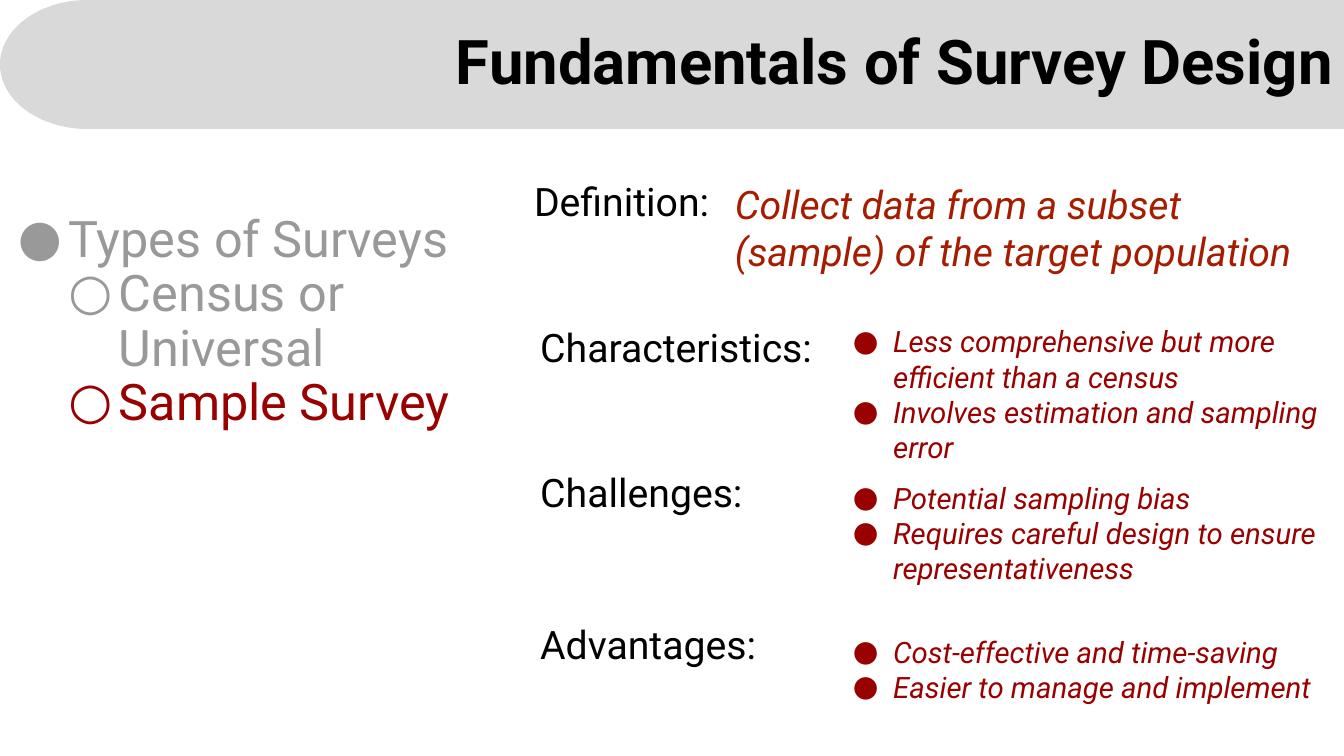
from lxml.etree import SubElement
from pptx import Presentation
from pptx.dml.color import RGBColor
from pptx.enum.shapes import MSO_SHAPE
from pptx.enum.text import MSO_ANCHOR, MSO_AUTO_SIZE, PP_ALIGN
from pptx.oxml.ns import qn
from pptx.util import Inches, Pt

COLORS = {
    "banner": "D9D9D9",
    "text": "000000",
    "muted": "999999",
    "accent": "990000",
    "definition": "A61C00",
}


class SurveySlide:
    font_name = "Roboto"
    grid_size = 100

    def __init__(self, presentation):
        self.column = presentation.slide_width / self.grid_size
        self.row = presentation.slide_height / self.grid_size
        self.slide = presentation.slides.add_slide(presentation.slide_layouts[5])

    def place(self, left, top, width, height):
        return (
            round(left * self.column),
            round(top * self.row),
            round(width * self.column),
            round(height * self.row),
        )

    def banner(self, parts):
        group = self.slide.shapes.add_group_shape()
        for kind, cells in parts:
            shape = group.shapes.add_shape(kind, *self.place(*cells))
            shape.shadow.inherit = False
            shape.fill.solid()
            shape.fill.fore_color.rgb = RGBColor.from_string(COLORS["banner"])
            shape.line.fill.background()

    def prepare_frame(self, shape, anchor=MSO_ANCHOR.TOP):
        frame = shape.text_frame
        frame.word_wrap = True
        frame.auto_size = MSO_AUTO_SIZE.NONE
        frame.vertical_anchor = anchor
        frame.margin_left = frame.margin_right = Inches(0.1)
        frame.margin_top = frame.margin_bottom = Inches(0.1)
        return frame

    def format_runs(self, paragraph, size, color, bold=False, italic=False):
        for run in paragraph.runs:
            run.font.name = self.font_name
            run.font.size = Pt(size)
            run.font.bold = bold
            run.font.italic = italic
            run.font.color.rgb = RGBColor.from_string(COLORS[color])

    def title(self, text, cells):
        shape = self.slide.shapes.title
        shape.left, shape.top, shape.width, shape.height = self.place(*cells)
        shape.element.getparent().append(shape.element)
        frame = self.prepare_frame(shape, MSO_ANCHOR.MIDDLE)
        frame.text = text
        paragraph = frame.paragraphs[0]
        paragraph.alignment = PP_ALIGN.RIGHT
        paragraph.line_spacing = 0.9
        self.format_runs(paragraph, 44, "text", bold=True)

    def text(self, text, cells, color="text", italic=False):
        frame = self.prepare_frame(self.slide.shapes.add_textbox(*self.place(*cells)))
        frame.text = text
        self.format_runs(frame.paragraphs[0], 28, color, italic=italic)

    def add_bullet(self, paragraph, symbol, color, indent, hanging):
        properties = paragraph._p.get_or_add_pPr()
        properties.set("marL", str(Inches(indent)))
        properties.set("indent", str(-Inches(hanging)))
        bullet_color = SubElement(properties, qn("a:buClr"))
        SubElement(bullet_color, qn("a:srgbClr"), val=COLORS[color])
        SubElement(properties, qn("a:buFont"), typeface=self.font_name)
        SubElement(properties, qn("a:buChar"), char=symbol)

    def bullets(self, items, cells, size, hanging, line_spacing=1.0, italic=False):
        frame = self.prepare_frame(self.slide.shapes.add_textbox(*self.place(*cells)))
        frame.text = "\n".join(text for text, level, color in items)
        for paragraph, (text, level, color) in zip(frame.paragraphs, items):
            paragraph.level = level
            paragraph.line_spacing = line_spacing
            self.add_bullet(paragraph, "●○"[level], color, 0.5 * (level + 1), hanging)
            self.format_runs(paragraph, size, color, italic=italic)


def main():
    presentation = Presentation()
    presentation.slide_width = Inches(13.33)
    presentation.slide_height = Inches(7.5)
    survey = SurveySlide(presentation)

    survey.banner([
        (MSO_SHAPE.OVAL, (0, 0, 13.05, 17.07)),
        (MSO_SHAPE.RECTANGLE, (6.68, 0, 93.32, 17.07)),
    ])
    survey.title("Fundamentals of Survey Design", (10.58, 2.93, 89.42, 11.2))

    survey_types = [
        ("Types of Surveys", 0, "muted"),
        ("Census or Universal", 1, "muted"),
        ("Sample Survey", 1, "accent"),
    ]
    survey.bullets(survey_types, (0.6, 26.93, 39.15, 31.73), 36, 0.5, line_spacing=0.9)

    survey.text("Definition:", (39, 22.13, 58.06, 17.07))
    survey.text(
        "Collect data from a subset (sample) of the target population",
        (53.94, 22.53, 46.06, 15.6),
        color="definition",
        italic=True,
    )

    sections = [
        ("Characteristics:", 41.47, 41.47, 21.6, [
            "Less comprehensive but more efficient than a census",
            "Involves estimation and sampling error",
        ]),
        ("Challenges:", 60.67, 62.13, 16.8, [
            "Potential sampling bias",
            "Requires careful design to ensure representativeness",
        ]),
        ("Advantages:", 80.67, 82.53, 12.13, [
            "Cost-effective and time-saving",
            "Easier to manage and implement",
        ]),
    ]
    for heading, heading_top, list_top, list_height, points in sections:
        survey.text(heading, (39.46, heading_top, 58.06, 17.07))
        items = [(point, 0, "accent") for point in points]
        survey.bullets(items, (61.97, list_top, 38.03, list_height), 21, 0.4, italic=True)

    presentation.save("out.pptx")


if __name__ == "__main__":
    main()
